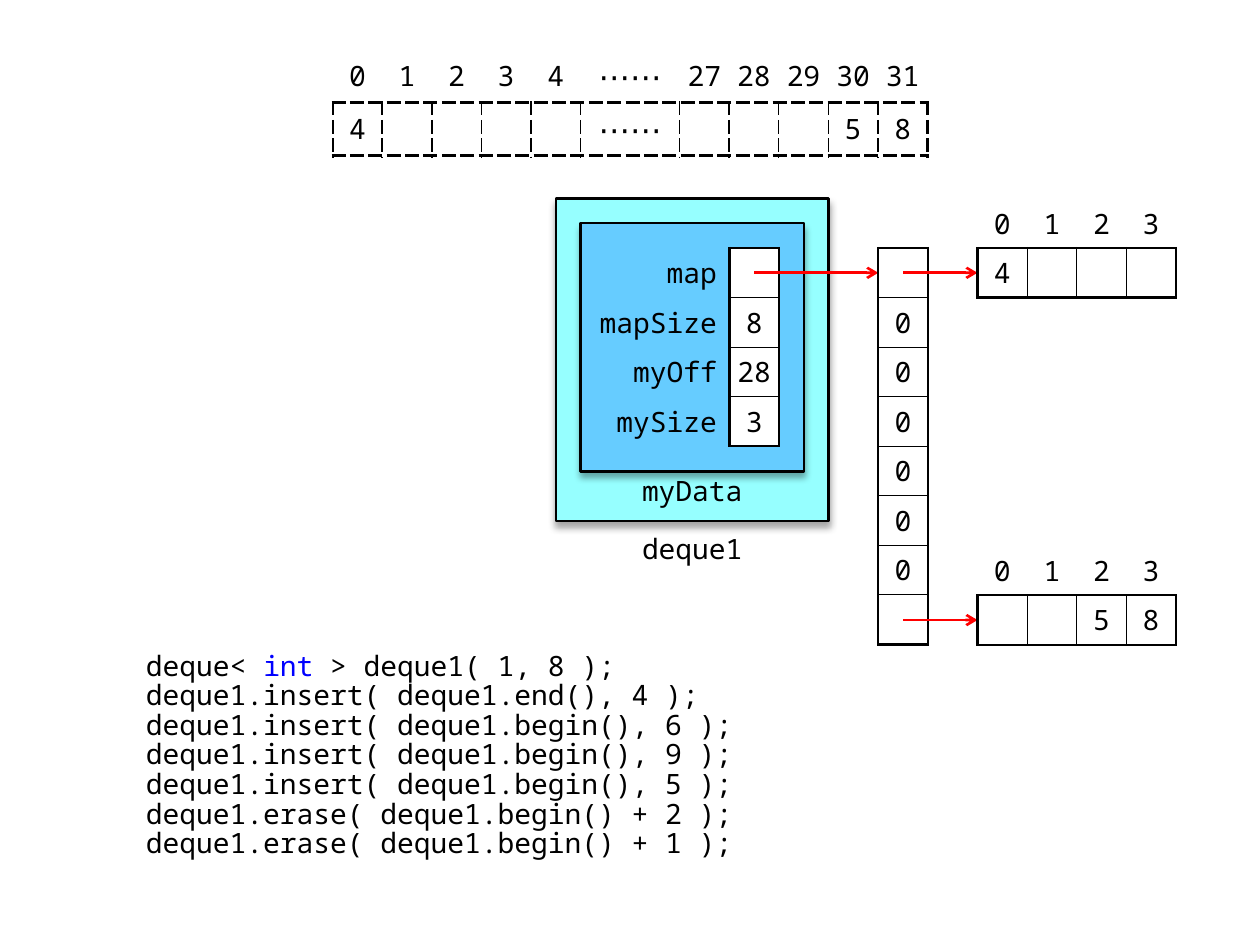
from lxml.etree import SubElement
from pptx import Presentation
from pptx.dml.color import RGBColor
from pptx.enum.shapes import MSO_CONNECTOR, MSO_SHAPE
from pptx.enum.text import MSO_ANCHOR, PP_ALIGN
from pptx.oxml.ns import qn
from pptx.util import Inches, Pt

FONT = "Noto Sans Mono"
CELL = Inches(1 / 2.54)
ORIGIN_X = Inches(2.64)
NO_STYLE_NO_GRID = "{2D5ABB26-0587-4C30-8999-92F81FD0307C}"
THICK = 1.5


def rgb(color):
    return RGBColor.from_string(color)


def cells(count):
    return round(count * CELL)


def place(column, row):
    """Slide position of a point on the cell grid."""
    return ORIGIN_X + cells(column), cells(row)


def add_run(paragraph, text, color="000000", size=16):
    run = paragraph.add_run()
    run.text = text
    run.font.name = FONT
    run.font.size = Pt(size)
    run.font.color.rgb = rgb(color)


def set_border(cell, tag, weight, dash):
    line = SubElement(cell._tc.get_or_add_tcPr(), qn(tag), w=str(Pt(weight)))
    fill = SubElement(line, qn("a:solidFill"))
    SubElement(fill, qn("a:srgbClr"), val="000000")
    SubElement(line, qn("a:prstDash"), val=dash)


def add_memory(slide, column, row, widths, rows, boxed_from=(0, 0), inner=0.75, dash="solid"):
    """Table whose cells from boxed_from on are framed; the others are labels."""
    frame = slide.shapes.add_table(len(rows), len(widths), *place(column, row),
                                   cells(sum(widths)), cells(len(rows)))
    table = frame.table
    table.first_row = table.horz_banding = False
    table._tbl.tblPr.find(qn("a:tableStyleId")).text = NO_STYLE_NO_GRID
    for table_column, width in zip(table.columns, widths):
        table_column.width = cells(width)
    for table_row in table.rows:
        table_row.height = CELL

    def boxed(r, c):
        return boxed_from[0] <= r < len(rows) and boxed_from[1] <= c < len(widths)

    for r, values in enumerate(rows):
        for c, value in enumerate(values):
            cell = table.cell(r, c)
            is_field_name = c < boxed_from[1]
            neighbours = {"a:lnL": (r, c - 1), "a:lnR": (r, c + 1),
                          "a:lnT": (r - 1, c), "a:lnB": (r + 1, c)}
            for tag, neighbour in neighbours.items():
                framed_sides = boxed(r, c) + boxed(*neighbour)
                if framed_sides:
                    set_border(cell, tag, inner if framed_sides == 2 else THICK, dash)
            if boxed(r, c):
                cell.fill.solid()
                cell.fill.fore_color.rgb = rgb("FFFFFF")
            else:
                cell.fill.background()
            cell.vertical_anchor = MSO_ANCHOR.MIDDLE
            cell.margin_left = cell.margin_right = Inches(0.1 if is_field_name else 0.04)
            cell.margin_top = cell.margin_bottom = Inches(0.04)
            paragraph = cell.text_frame.paragraphs[0]
            paragraph.alignment = PP_ALIGN.RIGHT if is_field_name else PP_ALIGN.CENTER
            if value:
                add_run(paragraph, value, size=18 if "⋯" in value else 16)
            else:
                paragraph._p.get_or_add_endParaRPr().set("sz", "1600")


def add_object_box(slide, column, row, width, height, color):
    box = slide.shapes.add_shape(MSO_SHAPE.FLOWCHART_PROCESS, *place(column, row),
                                 cells(width), cells(height))
    box.fill.solid()
    box.fill.fore_color.rgb = rgb(color)
    box.line.color.rgb = rgb("000000")
    box.line.width = Pt(THICK)
    box.shadow.inherit = False
    effects = box._element.spPr.find(qn("a:effectLst"))
    shadow = SubElement(effects, qn("a:outerShdw"), blurRad=str(Pt(4)),
                        dist=str(Pt(3)), dir="5400000", rotWithShape="0")
    shade = SubElement(shadow, qn("a:srgbClr"), val="000000")
    SubElement(shade, qn("a:alpha"), val="35000")


def add_caption(slide, column, row, width, text, anchor, margin_top):
    caption = slide.shapes.add_textbox(*place(column, row), cells(width), CELL).text_frame
    caption.word_wrap = True
    caption.vertical_anchor = anchor
    caption.margin_left = caption.margin_right = Inches(0.08)
    caption.margin_top, caption.margin_bottom = Inches(margin_top), 0
    caption.paragraphs[0].alignment = PP_ALIGN.CENTER
    add_run(caption.paragraphs[0], text)


def add_pointer(slide, column, row, length):
    pointer = slide.shapes.add_connector(MSO_CONNECTOR.STRAIGHT, *place(column, row),
                                         *place(column + length, row))
    pointer.line.color.rgb = rgb("FF0000")
    pointer.line.width = Pt(THICK)
    SubElement(pointer.line._get_or_add_ln(), qn("a:tailEnd"), type="arrow")
    SubElement(pointer._element.spPr, qn("a:effectLst"))


def add_deque_object(slide, column, row):
    add_object_box(slide, column, row, 5.5, 6.5, "96FFFF")
    add_object_box(slide, column + 0.5, row + 0.5, 4.5, 5, "66CCFF")
    add_caption(slide, column + 1, row + 6.5, 3.5, "deque1", MSO_ANCHOR.MIDDLE, 0.04)
    add_caption(slide, column + 1.5, row + 5.5, 2.5, "myData", MSO_ANCHOR.TOP, 0.02)
    fields = [("map", ""), ("mapSize", "8"), ("myOff", "28"), ("mySize", "3")]
    add_memory(slide, column + 0.5, row + 1, [3, 1], fields, boxed_from=(0, 1))
    add_pointer(slide, column + 4, row + 1.5, 2.5)


def add_block_map(slide, column, row, blocks):
    """Column of pointers; blocks maps a slot to the values it points to."""
    slots = 8
    add_memory(slide, column, row, [1],
               [["" if slot in blocks else "0"] for slot in range(slots)])
    for slot, values in blocks.items():
        add_pointer(slide, column + 0.5, row + slot + 0.5, 1.5)
        indices = [str(i) for i in range(len(values))]
        add_memory(slide, column + 2, row + slot - 1, [1] * len(values),
                   [indices, values], boxed_from=(1, 0))


def add_logical_array(slide, column, row):
    indices = ["0", "1", "2", "3", "4", "⋯⋯", "27", "28", "29", "30", "31"]
    contents = {"0": "4", "⋯⋯": "⋯⋯", "30": "5", "31": "8"}
    widths = [2 if index == "⋯⋯" else 1 for index in indices]
    add_memory(slide, column, row, widths,
               [indices, [contents.get(index, "") for index in indices]],
               boxed_from=(1, 0), inner=1, dash="sysDash")


def add_code(slide, left, top, width, height):
    code = slide.shapes.add_textbox(left, top, width, height).text_frame
    code.word_wrap = True
    statements = [
        [("deque< ", "000000"), ("int", "0000FF"), (" > deque1( 1, 8 );", "000000")],
        *([(f"deque1.{call};", "000000")] for call in (
            "insert( deque1.end(), 4 )",
            "insert( deque1.begin(), 6 )",
            "insert( deque1.begin(), 9 )",
            "insert( deque1.begin(), 5 )",
            "erase( deque1.begin() + 2 )",
            "erase( deque1.begin() + 1 )")),
    ]
    for number, statement in enumerate(statements):
        paragraph = code.add_paragraph() if number else code.paragraphs[0]
        paragraph.line_spacing = 0.88
        for text, color in statement:
            add_run(paragraph, text, color)


def main():
    presentation = Presentation()
    presentation.slide_width, presentation.slide_height = Inches(10), Inches(7.5)
    slide = presentation.slides.add_slide(presentation.slide_layouts[6])
    add_logical_array(slide, 0, 1)
    add_deque_object(slide, 4.5, 4)
    add_block_map(slide, 11, 5, {0: ["4", "", "", ""], 7: ["", "", "5", "8"]})
    add_code(slide, Inches(1.06), Inches(5.13), Inches(5.51), Inches(1.97))
    presentation.save("out.pptx")


if __name__ == "__main__":
    main()
